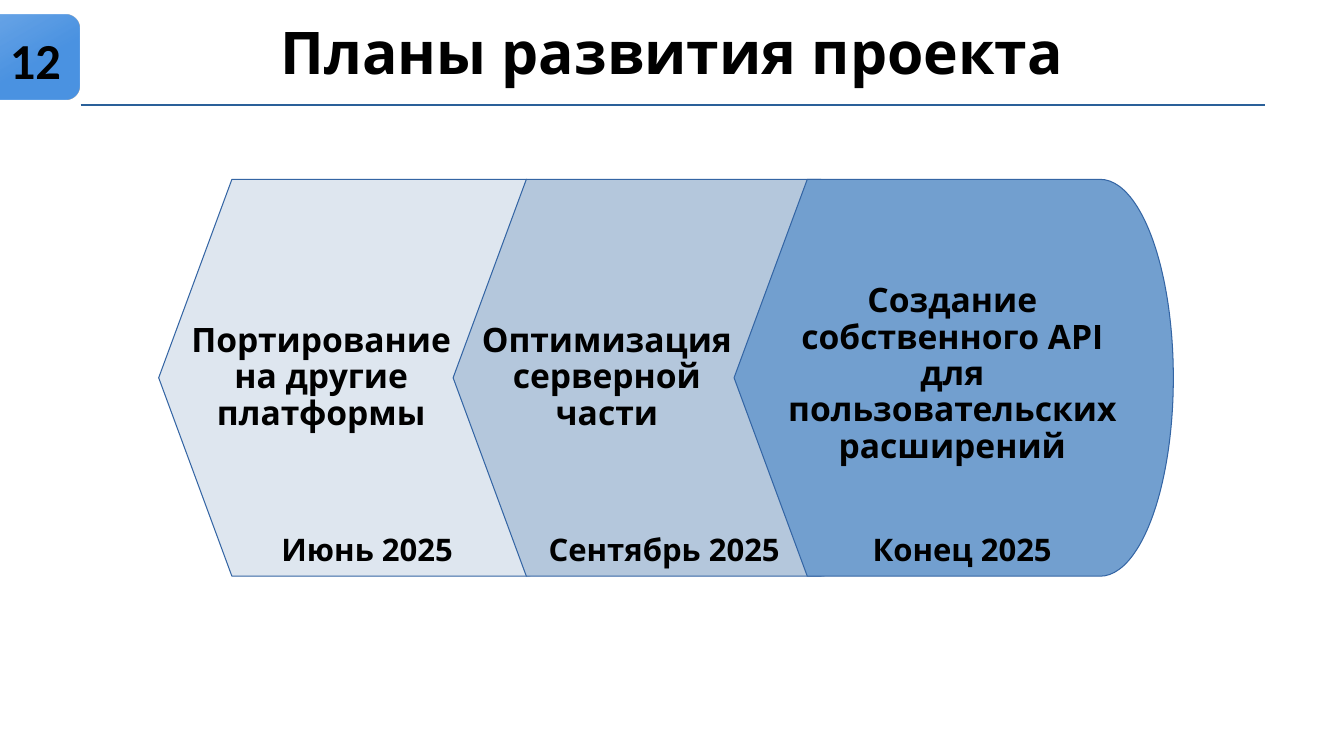
from pptx import Presentation
from pptx.dml.color import RGBColor
from pptx.enum.shapes import MSO_CONNECTOR, MSO_SHAPE
from pptx.enum.text import MSO_ANCHOR, PP_ALIGN
from pptx.oxml.ns import qn
from pptx.util import Cm, Pt
from lxml import etree

COLORS = {
    "text": "000000",
    "rule": "2A6099",
    "badge": "4B93E2",
    "outline": "3465A4",
    "june": "DEE6EF",
    "september": "B4C7DC",
    "year_end": "729FCF",
}


def color(name):
    return RGBColor.from_string(COLORS[name])


def add_text(text, left, top, width, height, size, font="Open Sans",
             align=PP_ALIGN.CENTER, spacing=None, anchor=MSO_ANCHOR.TOP):
    box = slide.shapes.add_textbox(Cm(left), Cm(top), Cm(width), Cm(height))
    frame = box.text_frame
    frame.word_wrap = True
    frame.vertical_anchor = anchor
    paragraph = frame.paragraphs[0]
    paragraph.alignment = align
    if spacing:
        paragraph.line_spacing = spacing
        paragraph.space_before = Pt(10)
    run = paragraph.add_run()
    run.text = text
    run.font.name = font
    run.font.size = Pt(size)
    run.font.bold = True
    run.font.color.rgb = color("text")


presentation = Presentation()
presentation.slide_width = Cm(33.87)
presentation.slide_height = Cm(19.05)
slide = presentation.slides.add_slide(presentation.slide_layouts[6])

# Title and the rule under it
rule = slide.shapes.add_connector(
    MSO_CONNECTOR.STRAIGHT, Cm(2.03), Cm(2.65), Cm(31.88), Cm(2.65))
rule.line.color.rgb = color("rule")
rule.line.width = Pt(1.5)
etree.SubElement(rule.element.spPr, qn("a:effectLst"))
add_text("Планы развития проекта", 2.34, 0.76, 29.18, 1.55, 42, spacing=0.7)

# Page number badge
badge = slide.shapes.add_shape(
    MSO_SHAPE.ROUNDED_RECTANGLE, Cm(-0.5), Cm(0.36), Cm(2.5), Cm(2.14))
badge.shadow.inherit = False
badge.line.fill.background()
badge.fill.gradient()
badge.fill.gradient_angle = 300
for stop, position in zip(badge.fill.gradient_stops, (0, 0.58)):
    stop.color.rgb = color("badge")
    stop.position = position
first_color = next(badge.element.iter(qn("a:gs")))[0]
etree.SubElement(first_color, qn("a:alpha"), val="81000")
add_text("12", 0, 0.99, 7.6, 0.99, 36, font="Calibri",
         align=PP_ALIGN.LEFT, anchor=MSO_ANCHOR.MIDDLE)

# Stages, each one overlapping the stage before it
for left, fill in ((4, "june"), (11.42, "september"), (18.5, "year_end")):
    stage = slide.shapes.add_shape(
        MSO_SHAPE.FLOWCHART_DISPLAY, Cm(left), Cm(4.52), Cm(11.07), Cm(10))
    stage.shadow.inherit = False
    stage.fill.solid()
    stage.fill.fore_color.rgb = color(fill)
    stage.line.color.rgb = color("outline")
    stage.line.width = Pt(0)

# Stage goals
for text, left, top, width, height in (
    ("Портирование на другие платформы", 4.5, 8.03, 7.19, 3.48),
    ("Оптимизация серверной части", 11.79, 8.03, 7.01, 3),
    ("Создание собственного API для пользовательских расширений",
     19.5, 7.03, 9, 4.95),
):
    add_text(text, left, top, width, height, 24, spacing=0.9)

# Stage dates
for text, left, top, width in (
    ("Июнь 2025", 6.5, 13.51, 5.51),
    ("Сентябрь 2025", 13.49, 13.51, 6.5),
    ("Конец 2025", 21, 13.49, 6.5),
):
    add_text(text, left, top, width, 0.99, 22.2, spacing=0.7)

presentation.save("out.pptx")
